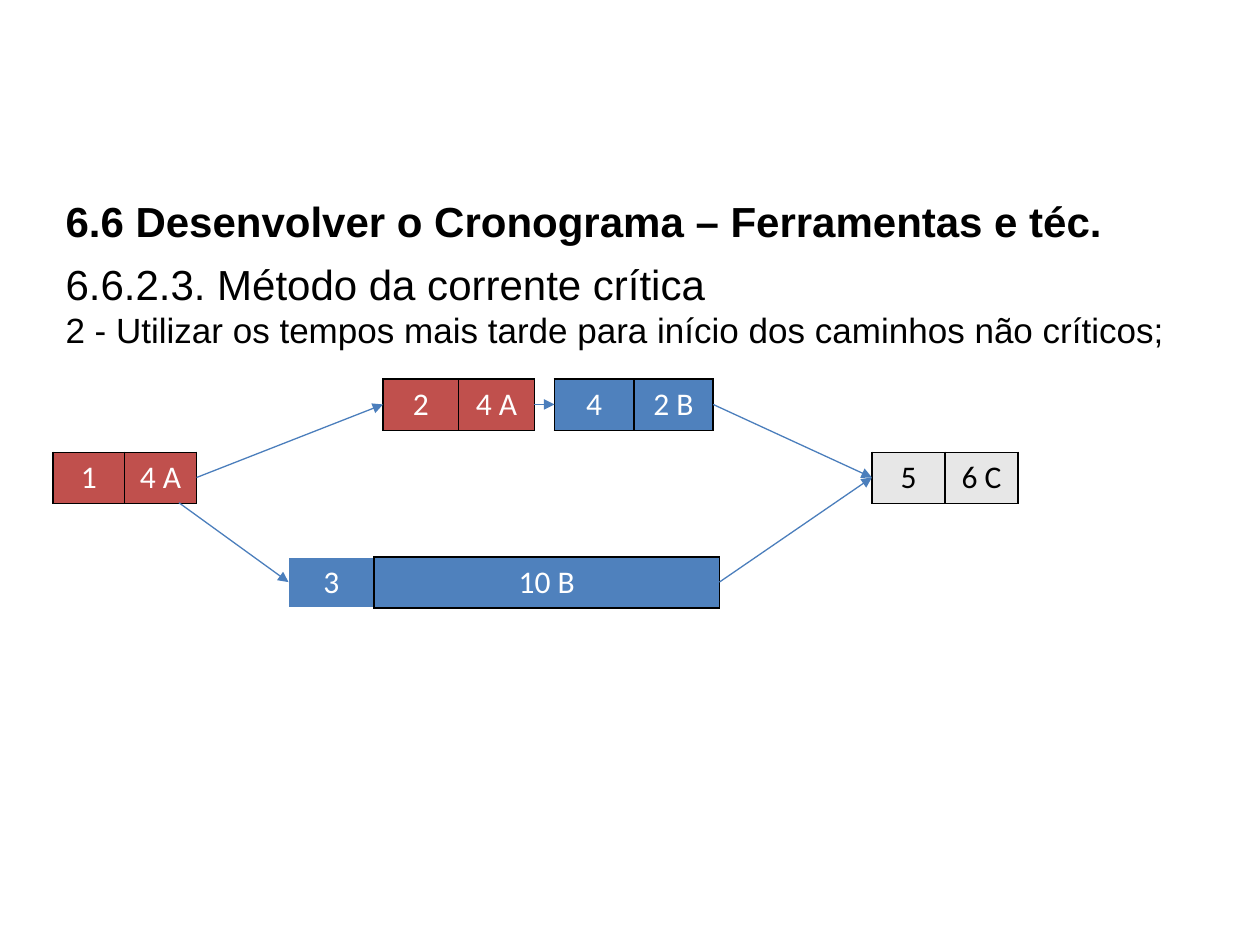
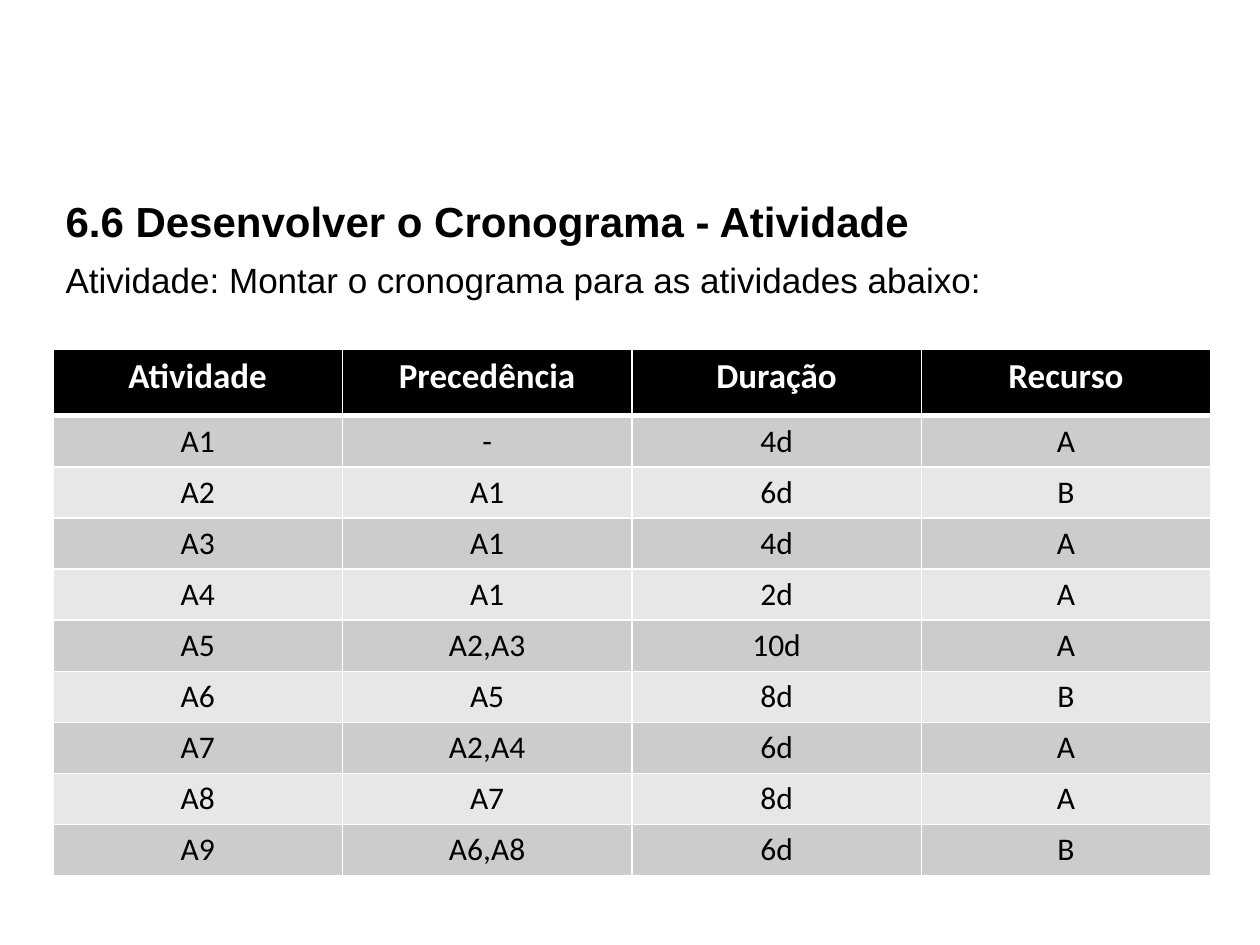
from dataclasses import dataclass

from lxml.etree import SubElement
from pptx import Presentation
from pptx.dml.color import RGBColor
from pptx.enum.shapes import MSO_CONNECTOR
from pptx.enum.text import MSO_ANCHOR, MSO_AUTO_SIZE, PP_ALIGN
from pptx.oxml import parse_xml
from pptx.oxml.ns import nsdecls, qn
from pptx.util import Inches, Pt


@dataclass(frozen=True)
class Theme:
    black: str = "000000"
    white: str = "FFFFFF"
    red: str = "C0504D"
    blue: str = "4F81BD"
    arrow: str = "4B7EBC"
    dark: str = "CCCCCC"
    light: str = "E7E7E7"
    head: str = "Arial"
    body: str = "Calibri"
    big: int = 24
    mid: int = 20
    small: int = 18
    left: float = 0.42
    width: float = 9.19


theme = Theme()
prs = Presentation()
prs.slide_width, prs.slide_height = Inches(10), Inches(7.5)


def add_page(title, lines, height):
    """Add a slide with its title and (text, size) body lines."""
    slide = prs.slides.add_slide(prs.slide_layouts[1])
    heading, body = slide.placeholders
    parts = (
        (heading, 1.5, 0.5, [(title, theme.big)], PP_ALIGN.LEFT),
        (body, 2, height, lines, PP_ALIGN.JUSTIFY),
    )
    for shape, top, tall, texts, align in parts:
        shape.left, shape.top = Inches(theme.left), Inches(top)
        shape.width, shape.height = Inches(theme.width), Inches(tall)
        frame = shape.text_frame
        frame.text = "\n".join(text for text, size in texts)
        frame.word_wrap = True
        frame.auto_size = MSO_AUTO_SIZE.NONE
        frame.vertical_anchor = MSO_ANCHOR.TOP
        for para, (text, size) in zip(frame.paragraphs, texts):
            para.alignment = align
            para.space_before = Pt(0)
            para.font.name, para.font.size = theme.head, Pt(size)
            para.font.bold = shape is heading
            para.font.color.rgb = RGBColor.from_string(theme.black)
            props = para._p.get_or_add_pPr()
            props.set("marL", "0")
            props.set("indent", "0")
            SubElement(props, qn("a:buNone"))
    return slide


def set_cell(cell, text, fill, ink, size, edges, line, bold=False):
    """Fill a cell; edges maps the sides L, R, T, B to widths in points."""
    cell.text = text
    para = cell.text_frame.paragraphs[0]
    para.alignment = PP_ALIGN.CENTER
    para.font.name, para.font.size = theme.body, Pt(size)
    para.font.bold = bold
    para.font.color.rgb = RGBColor.from_string(ink)
    props = cell._tc.get_or_add_tcPr()
    for side, width in edges.items():
        props.append(parse_xml(
            f'<a:ln{side} {nsdecls("a")} w="{Pt(width)}"><a:solidFill>'
            f'<a:srgbClr val="{line}"/></a:solidFill></a:ln{side}>'))
    cell.fill.solid()
    cell.fill.fore_color.rgb = RGBColor.from_string(fill)


frame = dict.fromkeys("LRTB", 1)

# Network of activities
page = add_page(
    "6.6 Desenvolver o Cronograma – Ferramentas e téc.",
    [("6.6.2.3. Método da corrente crítica", theme.big),
     ("2 - Utilizar os tempos mais tarde para início dos caminhos não críticos;",
      theme.mid)],
    0.84)

tall = 0.4
nodes = {
    "1": (0.42, 3.59, (0.57, 0.57), "4 A", theme.red, theme.white),
    "2": (3.04, 3.01, (0.6, 0.6), "4 A", theme.red, theme.white),
    "4": (4.4, 3.01, (0.63, 0.63), "2 B", theme.blue, theme.white),
    "5": (6.92, 3.59, (0.58, 0.58), "6 C", theme.light, theme.black),
    "3": (2.29, 4.42, (0.68, 2.74), "10 B", theme.blue, theme.white),
}
start, end = {}, {}
for name, (left, top, widths, work, fill, ink) in nodes.items():
    table = page.shapes.add_table(
        1, 2, Inches(left), Inches(top), Inches(sum(widths)), Inches(tall)).table
    table.first_row = table.horz_banding = False
    for i, text in enumerate((name, work)):
        table.columns[i].width = Inches(widths[i])
        edges = {"R": 1} if (name, i) == ("3", 0) else frame
        set_cell(table.cell(0, i), text, fill, ink, theme.small, edges, theme.black)
    start[name] = (left, top + tall / 2)
    end[name] = (left + sum(widths), top + tall / 2)

under = (1.42, 3.99)
links = [
    (end["1"], start["2"]),
    (end["2"], start["4"]),
    (under, start["3"]),
    (end["4"], start["5"]),
    (end["3"], start["5"]),
]
for tail, tip in links:
    link = page.shapes.add_connector(
        MSO_CONNECTOR.STRAIGHT, *map(Inches, tail + tip))
    link.line.width = Pt(0.75)
    link.line.color.rgb = RGBColor.from_string(theme.arrow)
    SubElement(link.line._get_or_add_ln(), qn("a:tailEnd"), type="triangle")
    SubElement(link._element.spPr, qn("a:effectLst"))

# Table of activities
page = add_page(
    "6.6 Desenvolver o Cronograma - Atividade",
    [("Atividade: Montar o cronograma para as atividades abaixo:", theme.mid)],
    0.44)

rows = [
    ("Atividade", "Precedência", "Duração", "Recurso"),
    ("A1", "-", "4d", "A"),
    ("A2", "A1", "6d", "B"),
    ("A3", "A1", "4d", "A"),
    ("A4", "A1", "2d", "A"),
    ("A5", "A2,A3", "10d", "A"),
    ("A6", "A5", "8d", "B"),
    ("A7", "A2,A4", "6d", "A"),
    ("A8", "A7", "8d", "A"),
    ("A9", "A6,A8", "6d", "B"),
]
table = page.shapes.add_table(
    len(rows), len(rows[0]), Inches(theme.left), Inches(2.77),
    Inches(theme.width), Inches(4.13)).table
table.first_row = table.horz_banding = False
for r, row in enumerate(rows):
    table.rows[r].height = Inches(tall if r else 0.53)
    fill = (theme.dark if r % 2 else theme.light) if r else theme.black
    ink, size = (theme.black, theme.small) if r else (theme.white, theme.mid)
    edges = frame | {"T": 3 if r == 1 else 1, "B": 1 if r else 3}
    for c, text in enumerate(row):
        set_cell(table.cell(r, c), text, fill, ink, size, edges, theme.white,
                 bold=r == 0)

prs.save("out.pptx")
